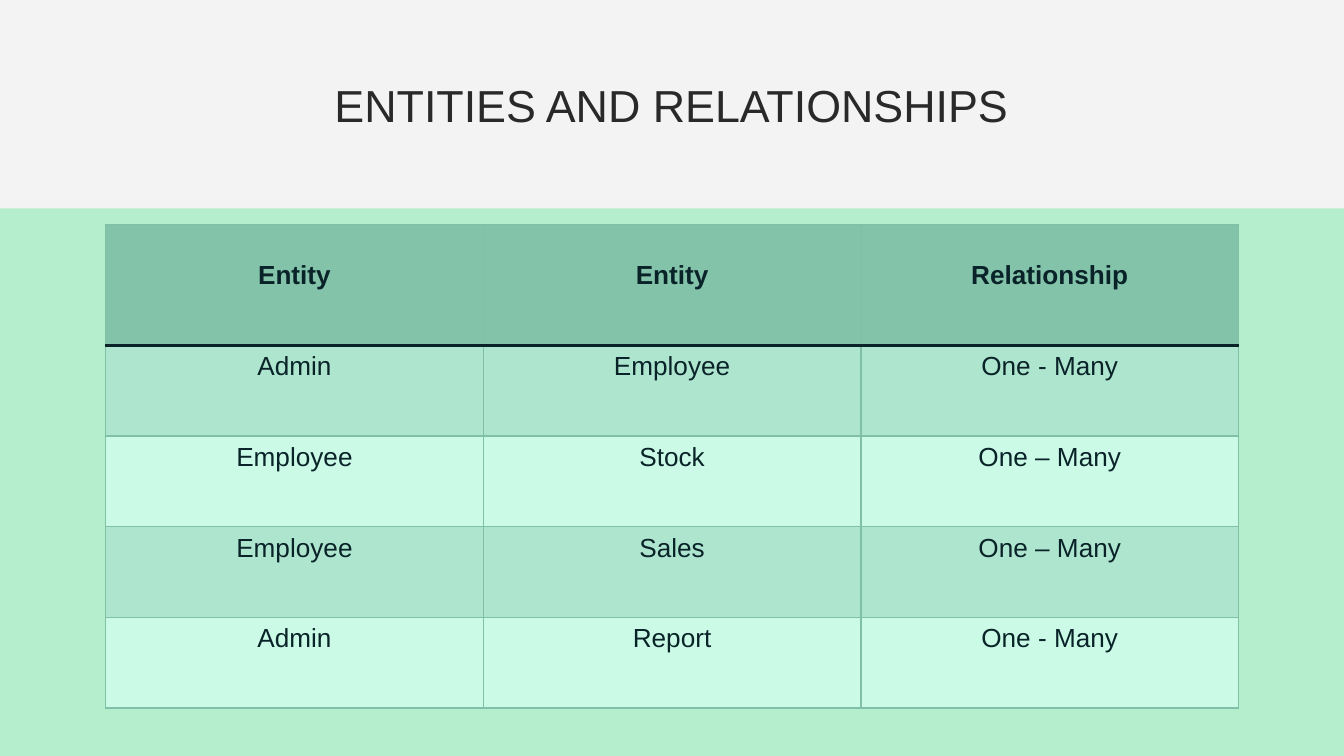
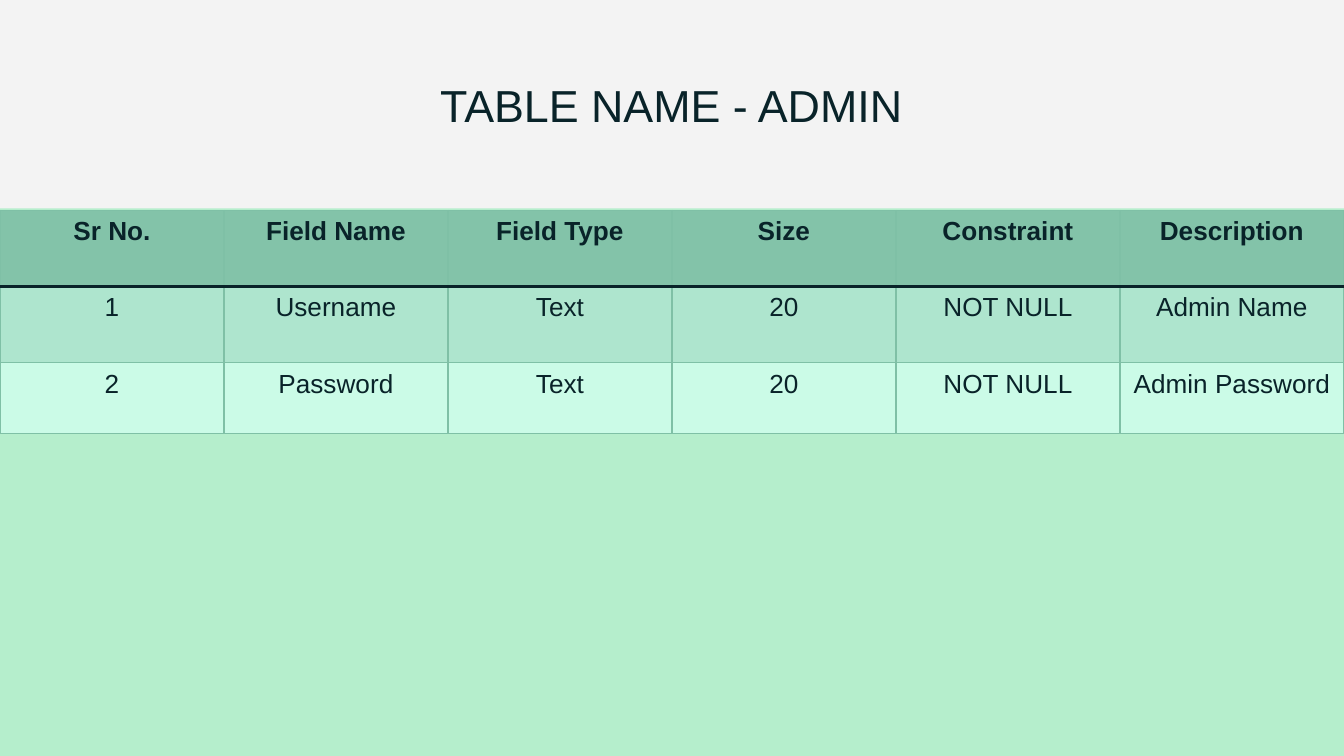
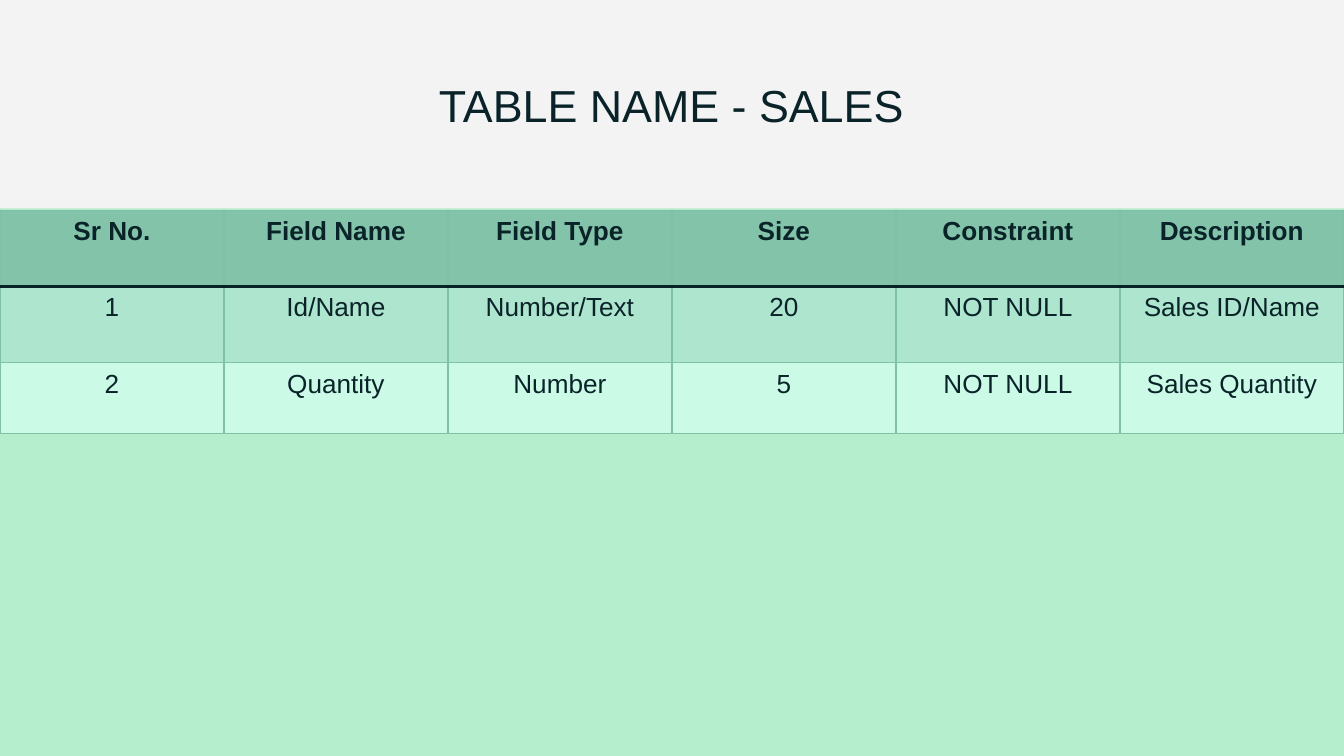
from lxml import etree
from pptx import Presentation
from pptx.dml.color import RGBColor
from pptx.enum.shapes import MSO_SHAPE
from pptx.enum.text import MSO_ANCHOR, PP_ALIGN
from pptx.oxml.ns import qn
from pptx.util import Pt

RECTANGLE = MSO_SHAPE.RECTANGLE
CENTER = PP_ALIGN.CENTER
TOP, MIDDLE = MSO_ANCHOR.TOP, MSO_ANCHOR.MIDDLE

FONT = "Arial"
PAPER = RGBColor(0xF3, 0xF3, 0xF3)
MINT = RGBColor(0xB5, 0xEE, 0xCC)
CHARCOAL = RGBColor(0x2A, 0x29, 0x29)
INK = RGBColor(0x09, 0x23, 0x29)
HEADER_GREEN = RGBColor(0x83, 0xC3, 0xA9)
GRID_GREEN = RGBColor(0x7F, 0xC0, 0xA6)
ROW_GREENS = (RGBColor(0xAE, 0xE5, 0xCE), RGBColor(0xCB, 0xFB, 0xE7))

THIN_RULE = (GRID_GREEN, 0.75)
HEADER_RULE = (INK, 2)
CELL_INSET = 3.6
TITLE_INSET = 7.2

# Left, top, width, height
SLIDE_SIZE = (720, 405)
BAND_BOX = (-2, 111.6, 724, 293.4)
TITLE_BOX = (108, 33.1, 503.3, 45.4)

RELATION_LAYOUT = {
    "left": 56.6, "top": 120.2, "width": 607,
    "row_heights": (64.8, 48.6, 48.6, 48.6, 48.6), "header_inset": 19.6,
}
FIELD_LAYOUT = {
    "left": 0, "top": 112.7, "width": 720,
    "row_heights": (40.8, 40.8, 37.8), "header_inset": CELL_INSET,
}
FIELD_HEADINGS = ("Sr No.", "Field Name", "Field Type", "Size", "Constraint", "Description")

SLIDES = [
    {
        "title": "ENTITIES AND RELATIONSHIPS",
        "title_color": CHARCOAL,
        "layout": RELATION_LAYOUT,
        "rows": [
            ("Entity", "Entity", "Relationship"),
            ("Admin", "Employee", "One - Many"),
            ("Employee", "Stock", "One – Many"),
            ("Employee", "Sales", "One – Many"),
            ("Admin", "Report", "One - Many"),
        ],
    },
    {
        "title": "TABLE NAME - ADMIN",
        "title_color": INK,
        "layout": FIELD_LAYOUT,
        "rows": [
            FIELD_HEADINGS,
            ("1", "Username", "Text", "20", "NOT NULL", "Admin Name"),
            ("2", "Password", "Text", "20", "NOT NULL", "Admin Password"),
        ],
    },
    {
        "title": "TABLE NAME - SALES",
        "title_color": INK,
        "layout": FIELD_LAYOUT,
        "rows": [
            FIELD_HEADINGS,
            ("1", "Id/Name", "Number/Text", "20", "NOT NULL", "Sales ID/Name"),
            ("2", "Quantity", "Number", "5", "NOT NULL", "Sales Quantity"),
        ],
    },
]


def points(lengths):
    return [Pt(length) for length in lengths]


def write(frame, text, size=14, color=INK, bold=False):
    frame.word_wrap = True
    paragraph = frame.paragraphs[0]
    paragraph.alignment = CENTER
    run = paragraph.add_run()
    run.text = text
    run.font.name = FONT
    run.font.size = Pt(size)
    run.font.bold = bold
    run.font.color.rgb = color


def set_borders(cell, **rules):
    """Draw cell edges; call before filling, as edges precede the fill in XML."""
    properties = cell._tc.get_or_add_tcPr()
    for edge, (color, width) in rules.items():
        line = etree.SubElement(properties, qn(f"a:ln{edge}"), w=str(Pt(width)))
        fill = etree.SubElement(line, qn("a:solidFill"))
        etree.SubElement(fill, qn("a:srgbClr"), val=str(color))


def add_backdrop(slide):
    slide.background.fill.solid()
    slide.background.fill.fore_color.rgb = PAPER
    band = slide.shapes.add_shape(RECTANGLE, *points(BAND_BOX))
    band.shadow.inherit = False
    band.fill.solid()
    band.fill.fore_color.rgb = MINT
    band.line.fill.background()


def add_title(slide, title, color):
    frame = slide.shapes.add_textbox(*points(TITLE_BOX)).text_frame
    frame.margin_left = frame.margin_right = Pt(TITLE_INSET)
    frame.margin_top = frame.margin_bottom = Pt(TITLE_INSET)
    frame.vertical_anchor = MIDDLE
    write(frame, title, size=24, color=color)


def style_cell(cell, text, row_index, header_inset):
    is_header = row_index == 0
    set_borders(
        cell, L=THIN_RULE, R=THIN_RULE,
        T=HEADER_RULE if row_index == 1 else THIN_RULE,
        B=HEADER_RULE if is_header else THIN_RULE,
    )
    cell.fill.solid()
    cell.fill.fore_color.rgb = HEADER_GREEN if is_header else ROW_GREENS[(row_index - 1) % 2]
    cell.vertical_anchor = TOP
    cell.margin_left = cell.margin_right = cell.margin_bottom = Pt(CELL_INSET)
    cell.margin_top = Pt(header_inset if is_header else CELL_INSET)
    write(cell.text_frame, text, bold=is_header)


def add_grid(slide, rows, layout):
    heights = layout["row_heights"]
    column_count = len(rows[0])
    box = (layout["left"], layout["top"], layout["width"], sum(heights))
    table = slide.shapes.add_table(len(rows), column_count, *points(box)).table
    table.horz_banding = False
    for column in table.columns:
        column.width = Pt(layout["width"] / column_count)
    for row_index, (entries, height) in enumerate(zip(rows, heights)):
        table.rows[row_index].height = Pt(height)
        for column_index, entry in enumerate(entries):
            style_cell(table.cell(row_index, column_index), entry, row_index,
                       layout["header_inset"])


def main():
    deck = Presentation()
    deck.slide_width, deck.slide_height = points(SLIDE_SIZE)
    blank = deck.slide_layouts[6]
    for content in SLIDES:
        slide = deck.slides.add_slide(blank)
        add_backdrop(slide)
        add_title(slide, content["title"], content["title_color"])
        add_grid(slide, content["rows"], content["layout"])
    deck.save("out.pptx")


if __name__ == "__main__":
    main()
